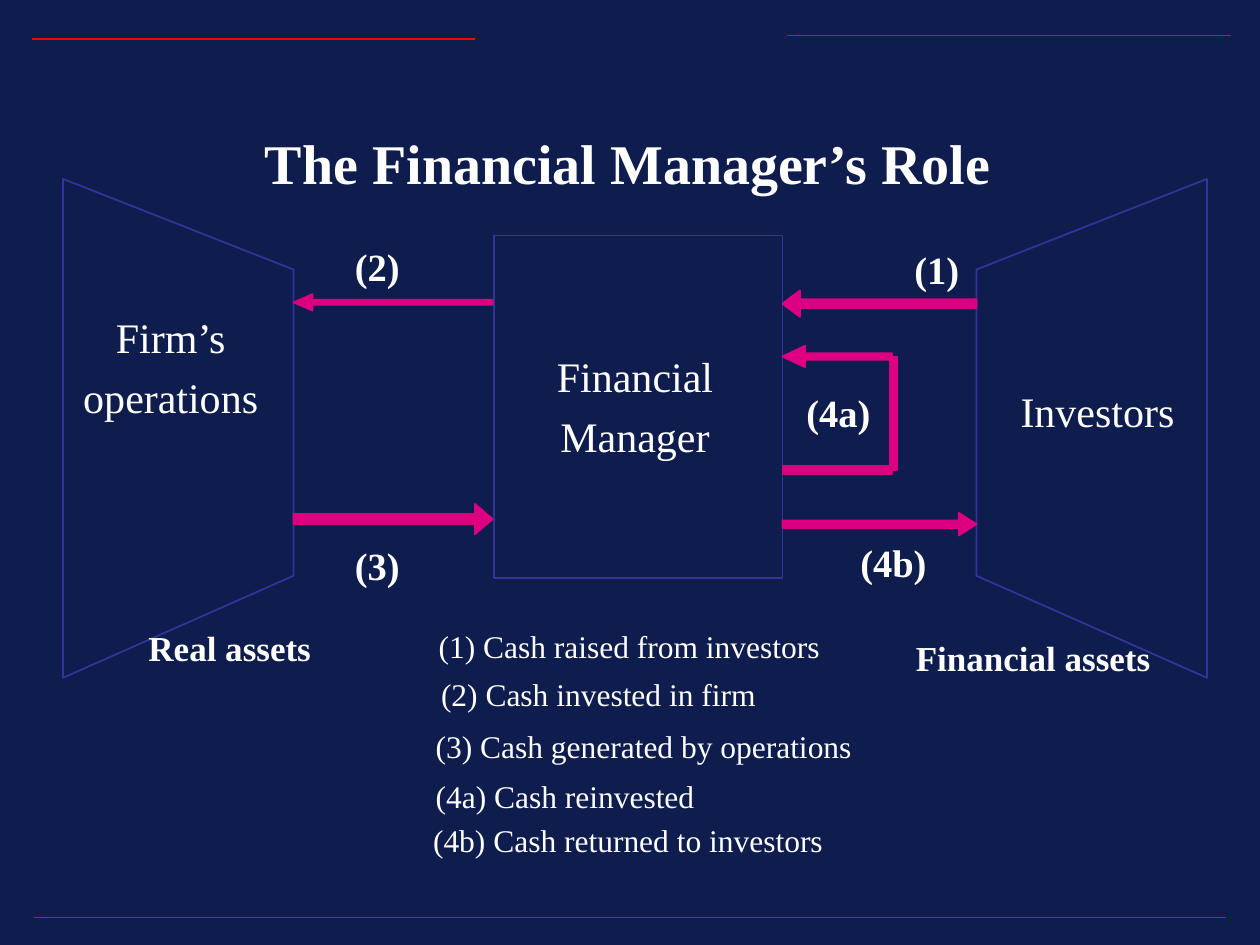
import pptx
import pptx.util
import pptx.dml.color
import pptx.enum.shapes
import pptx.enum.text
import lxml.etree

PX = 9144
FONT = "Times New Roman"
NAVY, WHITE, RED, BLUE, PINK = "0F1D4E", "FFFFFF", "FF0000", "333399", "DC0081"
ALIGN = pptx.enum.text.PP_ALIGN
KIND = pptx.enum.shapes.MSO_SHAPE
DRAWN = "{http://schemas.openxmlformats.org/drawingml/2006/main}"


def emu(*sizes):
    return [round(size * PX) for size in sizes]


def tint(code):
    return pptx.dml.color.RGBColor.from_string(code)


def text(slide, box, words, size=24, bold=False, align=ALIGN.CENTER, wrap=False):
    frame = slide.shapes.add_textbox(*emu(*box)).text_frame
    frame.word_wrap = wrap
    frame.vertical_anchor = pptx.enum.text.MSO_ANCHOR.TOP
    if not wrap:
        frame.margin_left = frame.margin_right = 0
    para = frame.paragraphs[0]
    para.alignment = align
    run = para.add_run()
    run.text = words
    run.font.name = FONT
    run.font.size = pptx.util.Pt(size)
    run.font.bold = bold
    run.font.color.rgb = tint(WHITE)


def paint(shape, edge, fill=None):
    shape.shadow.inherit = False
    if fill:
        shape.fill.solid()
        shape.fill.fore_color.rgb = tint(fill)
    else:
        shape.fill.background()
    shape.line.color.rgb = tint(edge)
    shape.line.width = pptx.util.Pt(1)


def outline(slide, points, edge, fill=None):
    first, *rest = [emu(*point) for point in points]
    pen = slide.shapes.build_freeform(*first)
    pen.add_line_segments(rest, close=True)
    paint(pen.convert_to_shape(), edge, fill)


def block(slide, box, edge, fill=None):
    paint(slide.shapes.add_shape(KIND.RECTANGLE, *emu(*box)), edge, fill)


def rule(slide, left, right, y):
    straight = pptx.enum.shapes.MSO_CONNECTOR.STRAIGHT
    line = slide.shapes.add_connector(straight, *emu(right, y, left, y))
    line.line.color.rgb = tint(RED)
    line.line.width = pptx.util.Pt(0.75)
    lxml.etree.SubElement(line._element.spPr, DRAWN + "effectLst")


def arrow(slide, tail, tip, y, shaft, head, length):
    neck = tip - length if tip > tail else tip + length
    half, wing = shaft / 2, head / 2
    outline(slide, [(tip, y), (neck, y - wing), (neck, y - half), (tail, y - half),
                    (tail, y + half), (neck, y + half), (neck, y + wing)], PINK, PINK)


def funnel(slide, box, flip=False):
    x, y, w, h = box
    wide, slim = (x + w, x) if flip else (x, x + w)
    outline(slide, [(slim, y + 315), (slim, y + 72), (wide, y), (wide, y + h)], BLUE)


def firm(slide, box):
    x, y, w, h = box
    funnel(slide, box)
    text(slide, (x + 31, y + 100, 109, 50), "Firm’s")
    text(slide, (x + 6, y + 148, 159, 50), "operations")
    text(slide, (x + 58, y + 350, 150, 44), "Real assets", size=20, bold=True,
         align=ALIGN.LEFT, wrap=True)


def manager(slide, box):
    x, y, w, h = box
    block(slide, box, BLUE)
    text(slide, (x + 40, y + 86, 144, 50), "Financial")
    text(slide, (x + 43, y + 134, 138, 50), "Manager")


def market(slide, box):
    x, y, w, h = box
    funnel(slide, box, flip=True)
    text(slide, (x + 25, y + 159, 142, 50), "Investors")
    text(slide, (x - 58, y + 358, 208, 44), "Financial assets", size=20, bold=True,
         align=ALIGN.LEFT, wrap=True)


def label(slide, x, y, w, words):
    text(slide, (x, y, w, 46), words, size=22, bold=True)


def inner(slide, box):
    x, y, w, h = box
    arrow(slide, x + w, x, y + 53, 4, 13, 15)
    arrow(slide, x, x + w, y + 225, 8, 24, 14)
    label(slide, x + 39, y + 1, 55, "(2)")
    label(slide, x + 39, y + 238, 55, "(3)")


def outer(slide, box):
    x, y, w, h = box
    arrow(slide, x + w, x, y + 54, 7, 21, 14)
    arrow(slide, x, x + w, y + 229, 6, 18, 14)
    block(slide, (x, y + 183, 87, 6), PINK, PINK)
    block(slide, (x + 85, y + 96, 6, 90), PINK, PINK)
    arrow(slide, x + 87, x, y + 96, 5, 17, 18)
    label(slide, x + 95, y + 3, 55, "(1)")
    label(slide, x + 9, y + 117, 71, "(4a)")
    label(slide, x + 52, y + 236, 72, "(4b)")


def legend(slide, box):
    x, y, w, h = box
    for dx, dy, wide, words in [
        (4, 0, 323, "(1) Cash raised from investors"),
        (6, 38, 270, "(2) Cash invested in firm"),
        (2, 79, 350, "(3) Cash generated by operations"),
        (2, 119, 225, "(4a) Cash reinvested"),
        (0, 154, 329, "(4b) Cash returned to investors"),
    ]:
        text(slide, (x + dx, y + dy, wide, 40), words, size=18)


def main():
    deck = pptx.Presentation()
    deck.slide_width, deck.slide_height = emu(1000, 750)
    slide = deck.slides.add_slide(deck.slide_layouts[6])
    slide.background.fill.solid()
    slide.background.fill.fore_color.rgb = tint(NAVY)
    for left, right, y in [(27, 973, 728), (25, 377, 31), (625, 977, 28)]:
        rule(slide, left, right, y)
    text(slide, (28, 97, 941, 64), "The Financial Manager’s Role", size=32,
         bold=True, wrap=True)
    manager(slide, (392, 187, 229, 272))
    firm(slide, (50, 142, 183, 396))
    market(slide, (775, 142, 183, 396))
    inner(slide, (233, 187, 158, 272))
    outer(slide, (621, 187, 154, 272))
    legend(slide, (334, 493, 352, 194))
    deck.save("out.pptx")


if __name__ == "__main__":
    main()
